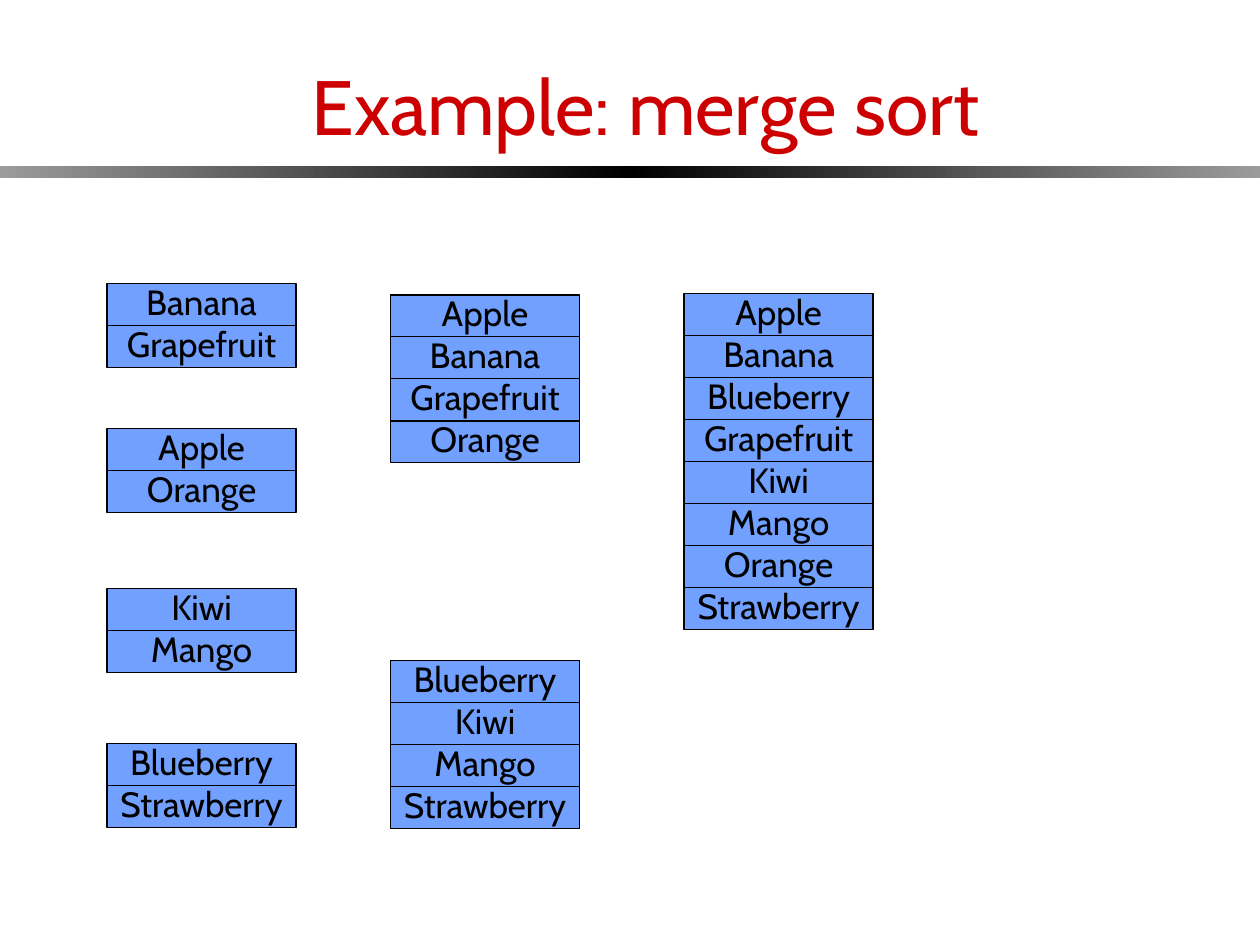
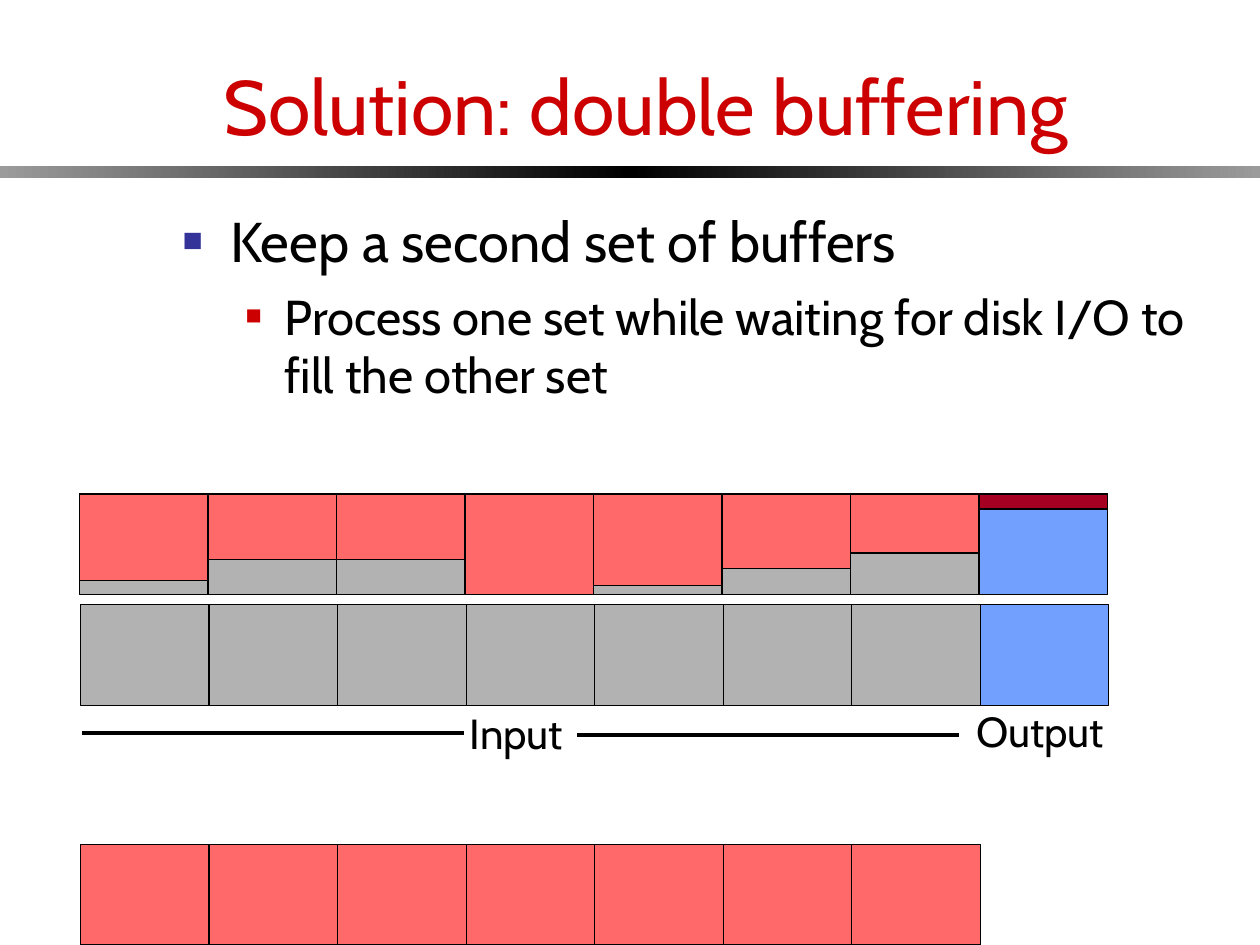
from lxml import etree
from pptx import Presentation
from pptx.dml.color import RGBColor
from pptx.enum import shapes, text as text_enum
from pptx.oxml import ns
from pptx.util import Inches, Pt

FONT = "Cabin"
BLACK = RGBColor(0x00, 0x00, 0x00)
BAND_EDGE = RGBColor(0x9B, 0x9B, 0x9B)
TITLE_RED = RGBColor(0xCC, 0x00, 0x00)
BULLET_BLUE = RGBColor(0x33, 0x33, 0x99)
BLUE = RGBColor(0x71, 0xA0, 0xFF)
GREY = RGBColor(0xB2, 0xB2, 0xB2)
RED = RGBColor(0xFF, 0x69, 0x69)
DARK_RED = RGBColor(0xA5, 0x00, 0x21)

TITLE_ONLY, TITLE_AND_BODY = 5, 1

SORT_TITLE = "Example: merge sort"
SORTED_RUNS = [
    (0.85, 2.25, ["Banana", "Grapefruit"]),
    (0.85, 3.4, ["Apple", "Orange"]),
    (0.85, 4.67, ["Kiwi", "Mango"]),
    (0.85, 5.9, ["Blueberry", "Strawberry"]),
    (3.1, 2.34, ["Apple", "Banana", "Grapefruit", "Orange"]),
    (3.1, 5.24, ["Blueberry", "Kiwi", "Mango", "Strawberry"]),
    (5.43, 2.33, ["Apple", "Banana", "Blueberry", "Grapefruit",
                  "Kiwi", "Mango", "Orange", "Strawberry"]),
]
RECORD_WIDTH, RECORD_HEIGHT = 1.5, 1 / 3

BUFFER_TITLE = "Solution: double buffering"
BUFFER_POINTS = [
    ("Keep a second set of buffers",
     dict(size=32, space_before=0, bullet=(BULLET_BLUE, 60), indent=(0.38, -0.38))),
    ("Process one set while waiting for disk I/O to fill the other set",
     dict(size=28, space_before=7, bullet=(TITLE_RED, 55), indent=(0.81, -0.31), level=1)),
]
BUFFER_WIDTH, BUFFER_HEIGHT = 1.02, 0.8
INPUT_COUNT = 7
BUFFER_ROWS = [
    (0.63, 3.92, [GREY] * INPUT_COUNT + [BLUE]),
    (0.64, 4.8, [GREY] * INPUT_COUNT + [BLUE]),
    (0.64, 6.7, [RED] * INPUT_COUNT),
]
FILL_LEVELS = [0.69, 0.52, 0.52, 0.8, 0.73, 0.59, 0.47, 0.12]
BUFFER_LABELS = [("Input", 3.63, 5.57, 1.05), ("Output", 7.65, 5.55, 1.32)]
INPUT_RULES = [(0.65, 3.68, 5.82), (4.58, 7.61, 5.83)]


def add_bullet(paragraph, color, percent):
    properties = paragraph._p.get_or_add_pPr()
    bullet_color = etree.SubElement(properties, ns.qn("a:buClr"))
    etree.SubElement(bullet_color, ns.qn("a:srgbClr"), val=str(color))
    etree.SubElement(properties, ns.qn("a:buSzPct"), val=str(percent * 1000))
    etree.SubElement(properties, ns.qn("a:buFont"), typeface="Arial")
    etree.SubElement(properties, ns.qn("a:buChar"), char="■")


def write(paragraph, text, size=20, color=BLACK, align=None, level=0,
          bullet=None, indent=None, space_before=None):
    paragraph.level = level
    if bullet:
        add_bullet(paragraph, *bullet)
    if indent:
        properties = paragraph._p.get_or_add_pPr()
        properties.set("marL", str(Inches(indent[0])))
        properties.set("indent", str(Inches(indent[1])))
    if space_before is not None:
        paragraph.space_before = Pt(space_before)
    paragraph.alignment = align
    run = paragraph.add_run()
    run.text = text
    run.font.name = FONT
    run.font.size = Pt(size)
    run.font.color.rgb = color


def place(shape, left, top, width, height):
    shape.left, shape.top = Inches(left), Inches(top)
    shape.width, shape.height = Inches(width), Inches(height)


def add_box(slide, left, top, width, height, fill=None):
    shape = slide.shapes.add_shape(
        shapes.MSO_SHAPE.RECTANGLE,
        Inches(left), Inches(top), Inches(width), Inches(height))
    shape.shadow.inherit = False
    if fill is not None:
        shape.fill.solid()
        shape.fill.fore_color.rgb = fill
        shape.line.color.rgb = BLACK
        shape.line.width = Pt(0.75)
    return shape


def add_slide(presentation, layout, title):
    slide = presentation.slides.add_slide(presentation.slide_layouts[layout])
    for left, colors in ((0, (BAND_EDGE, BLACK)), (5, (BLACK, BAND_EDGE))):
        band = add_box(slide, left, 1.32, 5, 0.09)
        band.line.fill.background()
        band.fill.gradient()
        band.fill.gradient_angle = 0
        for stop, color in zip(band.fill.gradient_stops, colors):
            stop.color.rgb = color
    place(slide.shapes.title, 0.55, 0, 9.15, 1.25)
    frame = slide.shapes.title.text_frame
    frame.auto_size = text_enum.MSO_AUTO_SIZE.NONE
    frame.vertical_anchor = text_enum.MSO_ANCHOR.BOTTOM
    write(frame.paragraphs[0], title, size=44, color=TITLE_RED,
          align=text_enum.PP_ALIGN.CENTER)
    return slide


def add_record(slide, left, top, name):
    frame = add_box(slide, left, top, RECORD_WIDTH, RECORD_HEIGHT, BLUE).text_frame
    frame.word_wrap = False
    frame.vertical_anchor = text_enum.MSO_ANCHOR.MIDDLE
    frame.margin_top, frame.margin_bottom = 0, Inches(0.05)
    write(frame.paragraphs[0], name, align=text_enum.PP_ALIGN.CENTER)


def build_merge_sort(presentation):
    slide = add_slide(presentation, TITLE_ONLY, SORT_TITLE)
    for left, top, names in SORTED_RUNS:
        for row, name in enumerate(names):
            add_record(slide, left, top + row * RECORD_HEIGHT, name)


def add_points(slide):
    body = slide.placeholders[1]
    place(body, 1.35, 1.59, 8.5, 5.04)
    frame = body.text_frame
    frame.auto_size = text_enum.MSO_AUTO_SIZE.NONE
    for index, (point, style) in enumerate(BUFFER_POINTS):
        paragraph = frame.add_paragraph() if index else frame.paragraphs[0]
        write(paragraph, point, **style)


def add_rule(slide, start, end, height):
    rule = slide.shapes.add_connector(
        shapes.MSO_CONNECTOR.STRAIGHT,
        Inches(start), Inches(height), Inches(end), Inches(height))
    rule.line.color.rgb = BLACK
    rule.line.width = Pt(2.25)
    etree.SubElement(rule._element.spPr, ns.qn("a:effectLst"))


def build_double_buffering(presentation):
    slide = add_slide(presentation, TITLE_AND_BODY, BUFFER_TITLE)
    add_points(slide)
    for left, top, colors in BUFFER_ROWS:
        for column, color in enumerate(colors):
            add_box(slide, left + column * BUFFER_WIDTH, top,
                    BUFFER_WIDTH, BUFFER_HEIGHT, color)
    left, top, _ = BUFFER_ROWS[0]
    for column, level in enumerate(FILL_LEVELS):
        color = RED if column < INPUT_COUNT else DARK_RED
        add_box(slide, left + column * BUFFER_WIDTH, top, BUFFER_WIDTH, level, color)
    for start, end, height in INPUT_RULES:
        add_rule(slide, start, end, height)
    for label, left, top, width in BUFFER_LABELS:
        label_box = slide.shapes.add_textbox(
            Inches(left), Inches(top), Inches(width), Inches(0.5))
        label_box.text_frame.word_wrap = True
        write(label_box.text_frame.paragraphs[0], label, size=24)


def main():
    presentation = Presentation()
    presentation.slide_width, presentation.slide_height = Inches(10), Inches(7.5)
    build_merge_sort(presentation)
    build_double_buffering(presentation)
    presentation.save("out.pptx")


if __name__ == "__main__":
    main()
